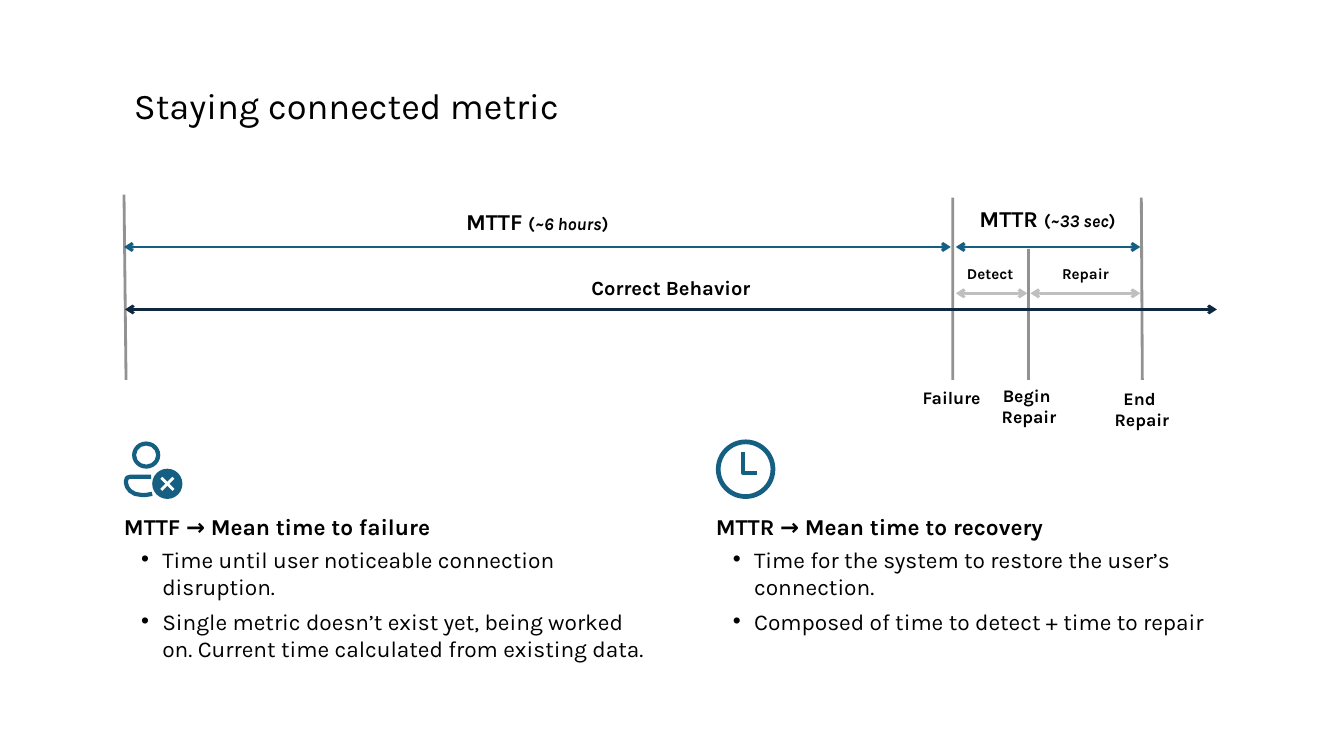
import lxml.etree
import pptx
import pptx.dml.color
import pptx.enum.shapes
import pptx.enum.text
import pptx.oxml.ns
import pptx.util

RGB = pptx.dml.color.RGBColor
BLACK = RGB(0, 0, 0)
WHITE = RGB(255, 255, 255)
GRAY = RGB(0x26, 0x26, 0x26)
PALE = RGB(0xBF, 0xBF, 0xBF)
NAVY = RGB(0x0E, 0x28, 0x41)
TEAL = RGB(0x15, 0x60, 0x82)
SHAPE = pptx.enum.shapes.MSO_SHAPE
ALIGN = pptx.enum.text.PP_ALIGN
ANCHOR = pptx.enum.text.MSO_ANCHOR
CELL = 0.1  # inches per grid column and row


def grid(*cells):
    return [pptx.util.Inches(n * CELL) for n in cells]


def sub(node, tag, **attrs):
    return lxml.etree.SubElement(node, pptx.oxml.ns.qn(tag), **attrs)


class Slide:
    font = {"name": "Karla", "bold": True, "italic": False}

    def __init__(self, deck):
        self.shapes = deck.slides.add_slide(deck.slide_layouts[6]).shapes

    def words(self, para, text, size, **fmt):
        """Add a run; each newline in it becomes a line break."""
        look = {**self.font, "size": pptx.util.Pt(size), **fmt}
        for n, part in enumerate(text.split("\n")):
            if n:
                para.add_line_break()
            run = para.add_run()
            run.text = part
            for key, value in look.items():
                setattr(run.font, key, value)
            run.font.color.rgb = BLACK

    def box(self, spot, inset=False, **fmt):
        frame = self.shapes.add_textbox(*grid(*spot)).text_frame
        look = {"word_wrap": True,
                "auto_size": pptx.enum.text.MSO_AUTO_SIZE.SHAPE_TO_FIT_TEXT, **fmt}
        if not inset:
            sides = ("left", "top", "right", "bottom")
            look.update({"margin_" + side: 0 for side in sides})
        for key, value in look.items():
            setattr(frame, key, value)
        return frame

    def label(self, spot, text, size, inset=False, note=None):
        """Centred label, with an optional italic note in brackets."""
        para = self.box(spot, inset).paragraphs[0]
        para.alignment = ALIGN.CENTER
        self.words(para, text, size)
        if note:
            for part, slant in (("(", False), (note, True), (")", False)):
                self.words(para, part, 12.6, italic=slant)

    def title(self, spot, text):
        frame = self.box(spot, inset=True, vertical_anchor=ANCHOR.MIDDLE,
                         auto_size=pptx.enum.text.MSO_AUTO_SIZE.NONE)
        para = frame.paragraphs[0]
        para.line_spacing = 0.9
        self.words(para, text, 25.9, bold=False)

    def points(self, spot, head, items):
        frame = self.box(spot)
        para = frame.paragraphs[0]
        para.space_after = pptx.util.Pt(3.6)
        self.words(para, head, 16.2)
        left, hang = grid(3.8, -2.1)
        for n, item in enumerate(items, 1):
            para = frame.add_paragraph()
            if n < len(items):
                para.space_after = pptx.util.Pt(5.4)
            props = para._p.get_or_add_pPr()
            props.set("marL", str(left))
            props.set("indent", str(hang))
            sub(props, "a:buFont", typeface="Arial")
            sub(props, "a:buChar", char="•")
            self.words(para, item, 16.2, bold=False)

    def line(self, start, end, color, arrow=False, alpha=None, width=2):
        kind = pptx.enum.shapes.MSO_CONNECTOR.STRAIGHT
        link = self.shapes.add_connector(kind, *grid(*start, *end))
        link.line.width = pptx.util.Pt(width)
        link.line.color.rgb = color
        props = link._element.spPr
        stroke = props.find(pptx.oxml.ns.qn("a:ln"))
        if alpha:
            tint = stroke.find(".//" + pptx.oxml.ns.qn("a:srgbClr"))
            sub(tint, "a:alpha", val=str(alpha * 1000))
        if arrow:
            for tip in ("a:headEnd", "a:tailEnd"):
                sub(stroke, tip, type="arrow")
        sub(props, "a:effectLst")

    def solid(self, kind, spot, adjust=None):
        shape = self.shapes.add_shape(kind, *grid(*spot))
        shape.shadow.inherit = False
        shape.fill.solid()
        shape.fill.fore_color.rgb = TEAL
        shape.line.fill.background()
        if adjust:
            shape.adjustments[0] = adjust

    def trace(self, dots, width):
        """Open stroked outline through the dots."""
        dots = [grid(*dot) for dot in dots]
        pen = self.shapes.build_freeform(*dots[0])
        pen.add_line_segments(dots[1:], close=False)
        shape = pen.convert_to_shape()
        shape.shadow.inherit = False
        shape.fill.background()
        shape.line.width = pptx.util.Pt(width)
        shape.line.color.rgb = TEAL


def chart(slide):
    marks = [((12.3, 19.3), (12.5, 37.7)), ((94.5, 19.6), (94.5, 37.7)),
             ((102, 24.7), (102, 37.7)), ((113.2, 19.6), (113.3, 37.7))]
    for start, end in marks:
        slide.line(start, end, GRAY, alpha=50)
    spans = [(12.4, 120.7, 30.7, NAVY), (12.3, 94.3, 24.5, TEAL),
             (94.8, 113.1, 24.5, TEAL), (94.8, 101.9, 29.1, PALE),
             (102.2, 113.1, 29.1, PALE)]
    for left, right, row, color in spans:
        slide.line((left, row), (right, row), color, arrow=True)
    slide.label((39.5, 20.1, 27.6, 3.7), "MTTF ", 16.2, True, "~6 hours")
    slide.label((95.5, 19.8, 16.8, 3.7), "MTTR ", 16.2, True, "~33 sec")
    slide.label((48.8, 26.8, 35.5, 3.4), "Correct Behavior", 14.4, True)
    for spot, text, size in [
            ((95.1, 26.2, 6.2, 1.8), "Detect", 10.8),
            ((104.1, 26.2, 7.1, 1.8), "Repair", 10.8),
            ((91.1, 38.4, 7, 2.1), "Failure ", 12.6),
            ((98.7, 38.2, 6.7, 4.2), "Begin \nRepair", 12.6),
            ((109.6, 38.5, 7.3, 4.2), "End \nRepair", 12.6)]:
        slide.label(spot, text, size)


def icons(slide):
    slide.solid(SHAPE.DONUT, (13.1, 43.8, 2.8, 2.7), 0.15)
    slide.trace([(15, 47.3), (12.9, 47.3), (12.6, 47.4), (12.5, 47.7),
                 (12.5, 47.9), (12.6, 48.3), (12.9, 48.7), (13.4, 49),
                 (14, 49.1), (14.5, 49.1), (15.1, 49)], 3)
    slide.solid(SHAPE.OVAL, (15.1, 46.5, 3, 3))
    for top, low in ((47.4, 48.6), (48.6, 47.4)):
        slide.line((16, top), (17.2, low), WHITE)
    slide.solid(SHAPE.DONUT, (71, 43.6, 5.9, 5.9), 0.08)
    slide.trace([(73.7, 44.8), (73.7, 46.9), (75.1, 46.9)], 3)


def main():
    deck = pptx.Presentation()
    deck.slide_width, deck.slide_height = grid(133.3, 75)
    slide = Slide(deck)
    slide.title((12.3, 8.3, 108.4, 4.8), "Staying connected metric")
    chart(slide)
    icons(slide)
    slide.points((12.3, 50.9, 53, 12.2), "MTTF → Mean time to failure", [
        "Time until user noticeable connection disruption.",
        "Single metric doesn’t exist yet, being worked on. "
        "Current time calculated from existing data."])
    slide.points((71, 50.9, 50, 12.2), "MTTR → Mean time to recovery", [
        "Time for the system to restore the user’s connection.",
        "Composed of time to detect + time to repair"])
    deck.save("out.pptx")


if __name__ == "__main__":
    main()
